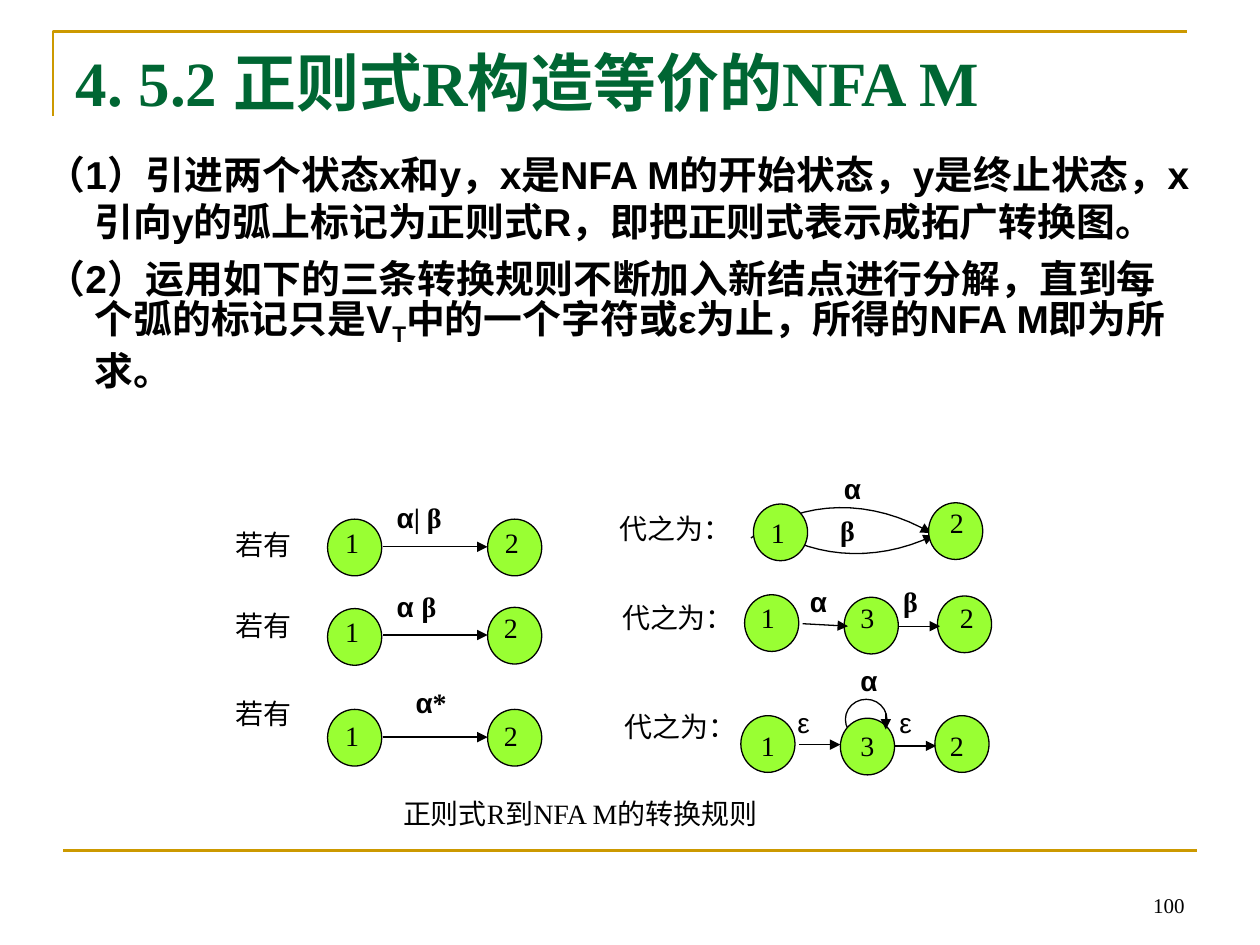
"""Build the slide on turning a regular expression R into an NFA M."""
from lxml import etree
from pptx import Presentation
from pptx.dml.color import RGBColor
from pptx.enum.shapes import MSO_CONNECTOR, MSO_SHAPE
from pptx.enum.text import MSO_ANCHOR, MSO_AUTO_SIZE, PP_ALIGN
from pptx.oxml.ns import qn
from pptx.util import Inches, Pt

STRAIGHT, OVAL = MSO_CONNECTOR.STRAIGHT, MSO_SHAPE.OVAL
TOP, MIDDLE, BOTTOM = MSO_ANCHOR.TOP, MSO_ANCHOR.MIDDLE, MSO_ANCHOR.BOTTOM
LEFT, RIGHT, JUST = PP_ALIGN.LEFT, PP_ALIGN.RIGHT, PP_ALIGN.JUSTIFY
FIXED = MSO_AUTO_SIZE.NONE
TIMES, ARIAL = "Times New Roman", "Arial"
COLORS = {"gold": "CC9900", "green": "006633", "lime": "99FF33",
          "white": "FFFFFF", "black": "000000"}


def write(para, text, size=16, font=TIMES, color="black", bold=False, base=0):
    run = para.add_run()
    run.text = text
    run.font.size, run.font.name, run.font.bold = Pt(size), font, bold
    run.font.color.rgb = RGBColor.from_string(COLORS[color])
    if base:
        run.font._element.set("baseline", str(base))


def stroke(shape, color="black", width=0.75, arrow=False):
    shape.line.color.rgb = RGBColor.from_string(COLORS[color])
    shape.line.width = Pt(width)
    if arrow:
        line = shape.line._get_or_add_ln()
        etree.SubElement(line, qn("a:tailEnd"), type="triangle")
    if shape._element.spPr.find(qn("a:effectLst")) is None:
        etree.SubElement(shape._element.spPr, qn("a:effectLst"))


prs = Presentation()
prs.slide_width, prs.slide_height = Inches(10), Inches(7.5)
slide = prs.slides.add_slide(prs.slide_layouts[1])
shapes = slide.shapes

pen = shapes.build_freeform(Inches(0.42), Inches(0.92))
pen.add_line_segments([(Inches(0.42), Inches(0.25)), (Inches(9.42), Inches(0.25))], close=False)
frame = pen.convert_to_shape()
frame.fill.background()
stroke(frame, "gold", 1.5)
rule = shapes.add_connector(STRAIGHT, Inches(0.5), Inches(6.75), Inches(9.5), Inches(6.75))
stroke(rule, "gold", 1.5)

title, body = shapes.title, slide.placeholders[1]
for holder, box, anchor in [(title, (0.5, 0.3, 9, 0.69), MIDDLE),
                            (body, (0.27, 1.15, 9.3, 2.6), TOP)]:
    holder.left, holder.top, holder.width, holder.height = map(Inches, box)
    holder.text_frame.auto_size = FIXED
    holder.text_frame.vertical_anchor = anchor
    holder.text_frame.word_wrap = True

para = title.text_frame.paragraphs[0]
para.alignment = LEFT
write(para, "4. 5.2 正则式R构造等价的NFA M", size=36, color="green", bold=True)

STEPS = [
    [("（1）引进两个状态x和y，x是NFA M的开始状态，y是终止状态，"
      "x引向y的弧上标记为正则式R，即把正则式表示成拓广转换图。", 0)],
    [("（2）运用如下的三条转换规则不断加入新结点进行分解，"
      "直到每个弧的标记只是V", 0), ("T", -25000),
     ("中的一个字符或ε为止，所得的NFA M即为所求。", 0)],
]
for i, step in enumerate(STEPS):
    para = body.text_frame.paragraphs[0] if i == 0 else body.text_frame.add_paragraph()
    props = para._p.get_or_add_pPr()
    props.set("marL", str(Inches(0.38)))
    props.set("indent", str(Inches(-0.38)))
    etree.SubElement(props, qn("a:buNone"))
    para.space_before = Pt(6 * i)
    para.line_spacing = Pt(26.5)
    for text, base in step:
        write(para, text, size=22.2, font=ARIAL, bold=True, base=base)

ARCS = [
    [(6.02, 4.13), (6.4, 4.43), (6.93, 4.48), (7.41, 4.25)],
    [(5.96, 4.27), (6.38, 3.95), (6.93, 3.96), (7.39, 4.23)],
]
COUNT = 16
for arc in ARCS:
    dots = []
    for i in range(COUNT + 1):
        t = i / COUNT
        parts = ((1 - t) ** 3, 3 * t * (1 - t) ** 2, 3 * t * t * (1 - t), t ** 3)
        dots.append([Inches(sum(w * p[k] for w, p in zip(parts, arc))) for k in (0, 1)])
    pen = shapes.build_freeform(*dots[0])
    pen.add_line_segments(dots[1:], close=False)
    curve = pen.convert_to_shape()
    curve.fill.background()
    stroke(curve, arrow=True)

NODES = [(x, y, 0.43, 0.45, "lime") for x, y in [
    (2.6, 4.12), (3.87, 4.12), (5.98, 4), (7.37, 3.99),
    (2.6, 4.83), (3.87, 4.82), (5.91, 4.72), (6.7, 4.74), (7.44, 4.73),
    (2.6, 5.63), (3.87, 5.63), (5.88, 5.68), (6.67, 5.7), (7.42, 5.68)]]
LOOP = (6.71, 5.55, 0.33, 0.32, "white")
for x, y, wide, high, color in [LOOP] + NODES:
    node = shapes.add_shape(OVAL, Inches(x), Inches(y), Inches(wide), Inches(high))
    node.shadow.inherit = False
    node.fill.solid()
    node.fill.fore_color.rgb = RGBColor.from_string(COLORS[color])
    stroke(node)

TIPS = [(3.05, 4.14), (3.05, 4.84), (3.05, 5.65), (6.52, 4.01), (6.45, 4.73), (6.42, 5.69)]
ARROWS = [(x, y, x, y) for x, y in TIPS]
ARROWS += [(3.04, y, 3.87, y) for y in (4.34, 5.04, 5.85)]
ARROWS += [(6.37, 4.95, 6.73, 4.97), (7.13, 4.97, 7.46, 4.97),
           (6.34, 5.91, 6.67, 5.91), (7.1, 5.92, 7.43, 5.92), (7.03, 5.64, 7.03, 5.79)]
for ends in ARROWS:
    stroke(shapes.add_connector(STRAIGHT, *map(Inches, ends)), arrow=True)

PLAIN, BOLD = {}, {"bold": True}
GREEK, ALPHA = {"font": ARIAL}, {"font": ARIAL, "bold": True}
LABELS = [(x, y, 0.43, 0.45, [(text, PLAIN)]) for x, y, text in [
    (2.64, 4.12, "1"), (3.91, 4.12, "2"), (6.02, 4.04, "1"), (7.44, 3.96, "2"),
    (2.64, 4.83, "1"), (3.9, 4.8, "2"), (5.94, 4.72, "1"), (6.73, 4.72, "3"), (7.52, 4.72, "2"),
    (2.64, 5.65, "1"), (3.9, 5.65, "2"), (5.94, 5.73, "1"), (6.73, 5.73, "3"), (7.44, 5.73, "2")]]
LABELS += [(1.77, y, 0.83, 0.47, [("若有", PLAIN)]) for y in (4.14, 4.78, 5.48)]
LABELS += [(x, y, 1.16, 0.47, [("代之为：", PLAIN)])
           for x, y in [(4.82, 4.01), (4.84, 4.72), (4.86, 5.58)]]
LABELS += [
    (3.05, 3.92, 0.71, 0.47, [("α", ALPHA), ("| β", BOLD)]),
    (3.05, 4.63, 0.71, 0.47, [("α ", ALPHA), ("β", BOLD)]),
    (3.2, 5.39, 1.04, 0.47, [("α", ALPHA), ("*", BOLD)]),
    (6.6, 3.69, 0.5, 0.47, [("α", ALPHA)]),
    (6.57, 4.03, 0.66, 0.47, [("β", BOLD)]),
    (6.33, 4.59, 0.47, 0.47, [("α", ALPHA)]),
    (7.07, 4.59, 0.66, 0.47, [("β", BOLD)]),
    (6.23, 5.55, 0.5, 0.47, [("ε", GREEK)]),
    (7.04, 5.55, 0.66, 0.47, [("ε", GREEK)]),
    (6.73, 5.22, 0.33, 0.47, [("α", ALPHA)]),
    (3.1, 6.27, 3.81, 0.47, [("正则式R到NFA M的转换规则", PLAIN)]),
    (7.17, 6.83, 2.33, 0.5, [("100", {"size": 12})]),
]
for *box, runs in LABELS:
    label = shapes.add_textbox(*map(Inches, box)).text_frame
    label.word_wrap = True
    para = label.paragraphs[0]
    para.alignment = JUST
    for text, style in runs:
        write(para, text, **style)
label.vertical_anchor = BOTTOM
para.alignment = RIGHT

prs.save("out.pptx")
